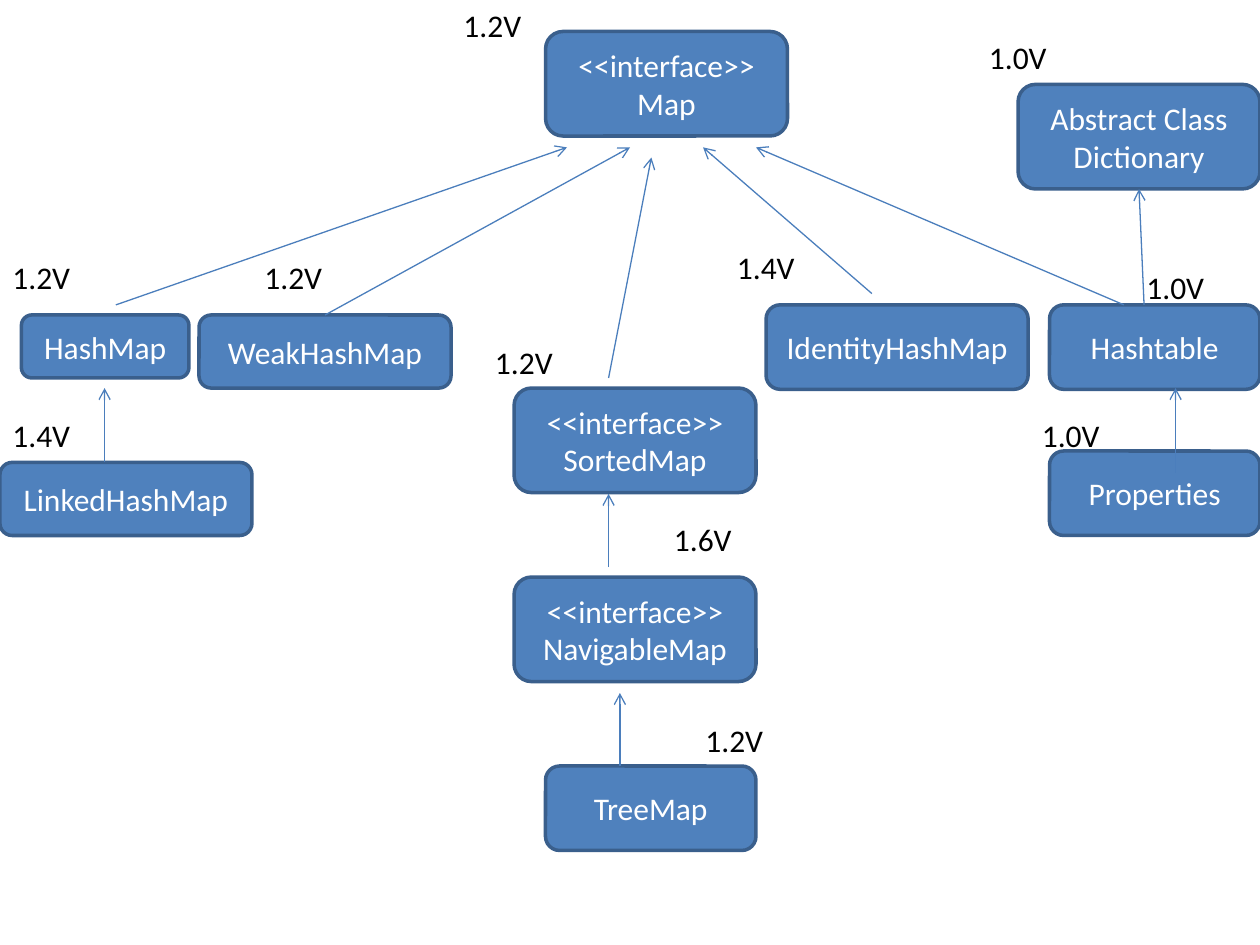
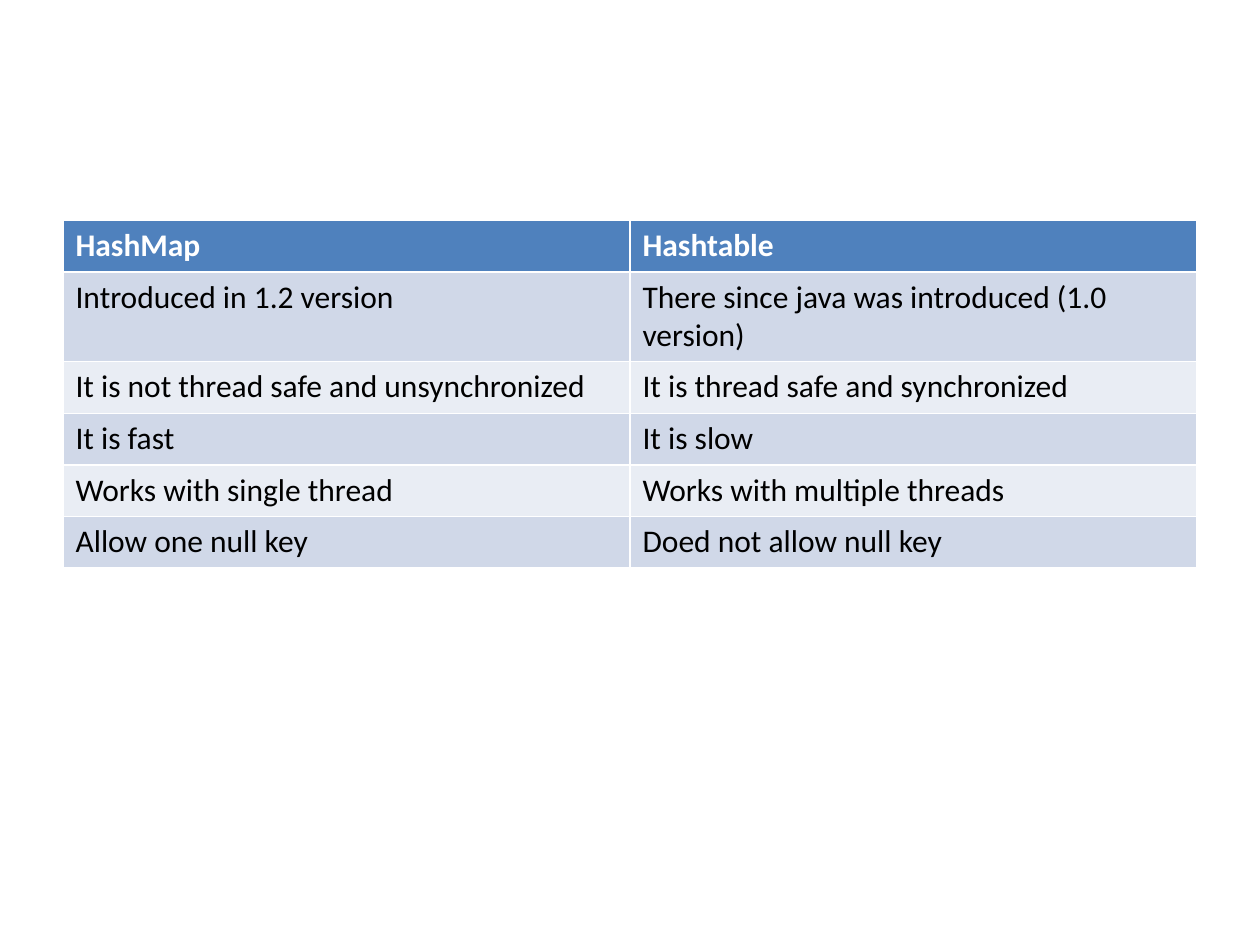
from lxml import etree
from pptx import Presentation
from pptx import util as u
from pptx.dml.color import RGBColor
from pptx.enum import shapes, text
from pptx.oxml import ns

BLUE = RGBColor(0x4F, 0x81, 0xBD)
OUTLINE = RGBColor(0x3A, 0x5F, 0x8C)
ARROW = RGBColor(0x4B, 0x7E, 0xBC)
DARK_BAND = RGBColor(0xD0, 0xD8, 0xE8)
LIGHT_BAND = RGBColor(0xE9, 0xED, 0xF4)
WHITE = RGBColor(0xFF, 0xFF, 0xFF)
BLACK = RGBColor(0, 0, 0)
FONT = "Calibri"
TEXT_SIZE = u.Pt(18)

INTERFACE_SIZE = (1.92, 0.83)
CLASS_SIZE = (1.67, 0.67)
INTERFACE = "<<interface>>"

TYPES = [
    (4.33, 0.25, INTERFACE_SIZE, [INTERFACE, "Map"]),
    (0, 3.67, (2, 0.58), ["LinkedHashMap"]),
    (0.17, 2.5, (1.33, 0.5), ["HashMap"]),
    (8.33, 2.42, CLASS_SIZE, ["Hashtable"]),
    (6.08, 2.42, (2.08, 0.67), ["IdentityHashMap"]),
    (1.58, 2.5, (2, 0.58), ["WeakHashMap"]),
    (8.33, 3.58, CLASS_SIZE, ["Properties"]),
    (8.08, 0.67, INTERFACE_SIZE, ["Abstract Class", "Dictionary"]),
    (4.08, 3.08, INTERFACE_SIZE, [INTERFACE, "SortedMap"]),
    (4.08, 4.58, INTERFACE_SIZE, [INTERFACE, "NavigableMap"]),
    (4.33, 6.08, CLASS_SIZE, ["TreeMap"]),
]

VERSIONS = [
    (0, 3.25, "1.4V"),
    (2, 2, "1.2V"),
    (0, 2, "1.2V"),
    (3.58, 0, "1.2V"),
    (7.75, 0.25, "1.0V"),
    (5.75, 1.92, "1.4V"),
    (9, 2.08, "1.0V"),
    (8.17, 3.25, "1.0V"),
    (5.5, 5.67, "1.2V"),
    (3.83, 2.67, "1.2V"),
    (5.25, 4.08, "1.6V"),
]

INHERITANCE = [
    ((0.92, 2.42), (4.5, 1.17)),
    ((6.92, 2.33), (5.58, 1.17)),
    ((8.92, 2.42), (6, 1.17)),
    ((9.08, 2.42), (9.04, 1.5)),
    ((9.33, 3.75), (9.33, 3.08)),
    ((0.83, 3.67), (0.83, 3.08)),
    ((2.58, 2.5), (5, 1.17)),
    ((4.83, 3), (5.17, 1.25)),
    ((4.83, 4.5), (4.83, 3.92)),
    ((4.92, 6.08), (4.92, 5.5)),
]

COMPARISON = [
    ("HashMap", "Hashtable"),
    ("Introduced in 1.2 version", "There since java was introduced (1.0 version)"),
    ("It is not thread safe and unsynchronized", "It is thread safe and synchronized"),
    ("It is fast", "It is slow"),
    ("Works with single thread", "Works with multiple threads"),
    ("Allow one null key", "Doed not allow null key"),
]


def write(frame, lines, color, align=text.PP_ALIGN.LEFT, bold=False):
    for index, line in enumerate(lines):
        paragraph = frame.add_paragraph() if index else frame.paragraphs[0]
        paragraph.alignment = align
        run = paragraph.add_run()
        run.text = line
        run.font.name = FONT
        run.font.size = TEXT_SIZE
        run.font.bold = bold
        run.font.color.rgb = color


def add_type(slide, left, top, size, lines):
    box = [u.Inches(value) for value in (left, top, *size)]
    shape = slide.shapes.add_shape(shapes.MSO_SHAPE.ROUNDED_RECTANGLE, *box)
    shape.shadow.inherit = False
    shape.fill.solid()
    shape.fill.fore_color.rgb = BLUE
    shape.line.color.rgb = OUTLINE
    shape.line.width = u.Pt(2)
    shape.text_frame.word_wrap = True
    shape.text_frame.vertical_anchor = text.MSO_ANCHOR.MIDDLE
    write(shape.text_frame, lines, WHITE, text.PP_ALIGN.CENTER)


def add_version(slide, left, top, version):
    box = [u.Inches(value) for value in (left, top, 0.75, 0.4)]
    frame = slide.shapes.add_textbox(*box).text_frame
    frame.word_wrap = True
    frame.auto_size = text.MSO_AUTO_SIZE.SHAPE_TO_FIT_TEXT
    write(frame, [version], BLACK)


def add_arrow(slide, start, end):
    points = [u.Inches(value) for value in (*start, *end)]
    connector = slide.shapes.add_connector(shapes.MSO_CONNECTOR.STRAIGHT, *points)
    connector.line.color.rgb = ARROW
    connector.line.width = u.Pt(0.75)
    line = connector.line._get_or_add_ln()
    etree.SubElement(line, ns.qn("a:tailEnd"), type="arrow")
    etree.SubElement(connector._element.spPr, ns.qn("a:effectLst"))


def add_hierarchy(slide, left, top):
    for x, y, size, lines in TYPES:
        add_type(slide, left + x, top + y, size, lines)
    for x, y, version in VERSIONS:
        add_version(slide, left + x, top + y, version)
    for start, end in INHERITANCE:
        add_arrow(slide, (left + start[0], top + start[1]), (left + end[0], top + end[1]))


def add_comparison(slide, left, top, width, height):
    box = [u.Inches(value) for value in (left, top, width, height)]
    table = slide.shapes.add_table(len(COMPARISON), 2, *box).table
    for row, values in enumerate(COMPARISON):
        header = row == 0
        fill = BLUE if header else DARK_BAND if row % 2 else LIGHT_BAND
        for column, value in enumerate(values):
            cell = table.cell(row, column)
            cell.fill.solid()
            cell.fill.fore_color.rgb = fill
            write(cell.text_frame, [value], WHITE if header else BLACK, bold=header)


presentation = Presentation()
presentation.slide_width = u.Inches(10)
presentation.slide_height = u.Inches(7.5)
blank = presentation.slide_layouts.get_by_name("Blank")
add_hierarchy(presentation.slides.add_slide(blank), 0, 0)
add_comparison(presentation.slides.add_slide(blank), 0.5, 1.75, 9, 2.46)
presentation.save("out.pptx")
